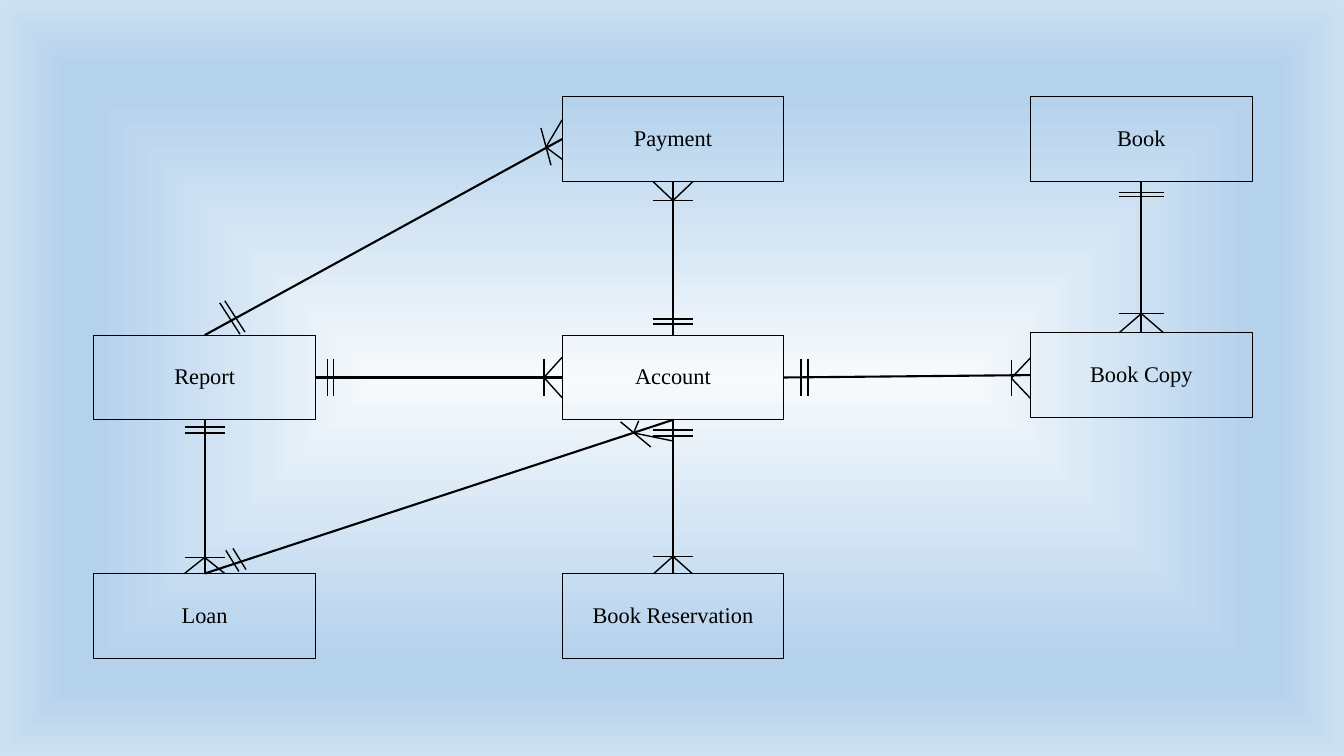
from lxml.etree import SubElement
from pptx import Presentation
from pptx.dml.color import RGBColor
from pptx.enum.shapes import MSO_CONNECTOR, MSO_SHAPE
from pptx.enum.text import MSO_ANCHOR, MSO_AUTO_SIZE, PP_ALIGN
from pptx.oxml.ns import qn
from pptx.util import Inches, Pt

COLORS = {"ink": "000000", "center": "F7FAFD", "ring": "B5D2EC", "rim": "CEE1F2"}
FONT = "Times New Roman"
GRID_LEFT, GRID_TOP = 0.93, 0.96
COLUMN_STEP, ROW_STEP = 4.645, 2.365
BOX_WIDTH, BOX_HEIGHT = 2.2, 0.84

SITES = {"top": 0, "left": 1, "bottom": 2, "right": 3}
OUTWARD = {"top": (0, -1), "left": (-1, 0), "bottom": (0, 1), "right": (1, 0)}

ENTITIES = {
    "Report": (0, 1),
    "Loan": (0, 2),
    "Book Reservation": (1, 2),
    "Account": (1, 1),
    "Book": (2, 0),
    "Payment": (1, 0),
    "Book Copy": (2, 0.99),
}

RELATIONSHIPS = [
    ("Report", "top", "Payment", "left"),
    ("Account", "top", "Payment", "bottom"),
    ("Account", "bottom", "Book Reservation", "top"),
    ("Account", "right", "Book Copy", "left"),
    ("Report", "right", "Account", "left"),
    ("Report", "bottom", "Loan", "top"),
    ("Account", "bottom", "Loan", "top"),
    ("Book Copy", "top", "Book", "bottom"),
]

ONE_ENDS = [
    ("Account", "top", (0.11, 0.16), 0.2),
    ("Account", "bottom", (0.1, 0.16), 0.2),
    ("Account", "right", (0.17, 0.24), 0.18),
    ("Report", "right", (0.12, 0.18), 0.18),
    ("Report", "bottom", (0.07, 0.13), 0.2),
    ("Book", "bottom", (0.11, 0.15), 0.22),
]

MANY_ENDS = [
    ("Account", "left", 0.18, 0.2, 0.18, 0),
    ("Payment", "bottom", 0.19, 0.2, 0.2, 0),
    ("Book Reservation", "top", 0.17, 0.19, 0.2, 0),
    ("Book Copy", "left", 0.19, 0.2, 0.18, 0.03),
    ("Loan", "top", 0.16, 0.2, 0.2, 0),
    ("Book Copy", "top", 0.19, 0.22, 0.22, 0),
]

SLANTED_ENDS = [
    ("Report", "top", [(0.15, -0.32, 0.35, -0.01), (0.2, -0.34, 0.4, -0.03)]),
    ("Loan", "top", [(0.21, -0.23, 0.34, -0.02), (0.28, -0.25, 0.41, -0.04)]),
    ("Payment", "left", [(0, -0.19, -0.16, 0.08), (-0.16, 0.08, 0, 0.2),
                         (-0.21, -0.11, -0.11, 0.26)]),
    ("Account", "bottom", [(-0.34, 0.01, -0.39, 0.13), (-0.39, 0.13, 0, 0.21),
                           (-0.52, 0.02, -0.22, 0.27)]),
]


def color(name):
    return RGBColor.from_string(COLORS[name])


def paint_background(page):
    page.background.fill.gradient()
    gradient = page.element.find(".//" + qn("a:gradFill"))
    for child in list(gradient):
        gradient.remove(child)
    stops = SubElement(gradient, qn("a:gsLst"))
    for percent, name in ((0, "center"), (74, "ring"), (83, "ring"), (100, "rim")):
        stop = SubElement(stops, qn("a:gs"), pos=str(percent * 1000))
        SubElement(stop, qn("a:srgbClr"), val=COLORS[name])
    shade = SubElement(gradient, qn("a:path"), path="rect")
    SubElement(shade, qn("a:fillToRect"), l="50000", t="50000", r="50000", b="50000")


def corner(name):
    column, row = ENTITIES[name]
    return GRID_LEFT + column * COLUMN_STEP, GRID_TOP + row * ROW_STEP


def side_middle(name, side):
    left, top = corner(name)
    across, down = OUTWARD[side]
    return left + BOX_WIDTH * (1 + across) / 2, top + BOX_HEIGHT * (1 + down) / 2


def format_entity(box, name):
    left, top = corner(name)
    box.left, box.top = Inches(left), Inches(top)
    box.width, box.height = Inches(BOX_WIDTH), Inches(BOX_HEIGHT)
    box.fill.background()
    box.line.color.rgb = color("ink")
    box.line.width = Pt(0.75)
    frame = box.text_frame
    frame.word_wrap = True
    frame.auto_size = MSO_AUTO_SIZE.NONE
    frame.vertical_anchor = MSO_ANCHOR.MIDDLE
    para = frame.paragraphs[0]
    para.alignment = PP_ALIGN.CENTER
    para.line_spacing = 0.9
    span = para.add_run()
    span.text = name
    span.font.name = FONT
    span.font.size = Pt(16)
    span.font.color.rgb = color("ink")


def add_entity(page, name):
    box = page.shapes.add_shape(MSO_SHAPE.RECTANGLE, 0, 0, Inches(BOX_WIDTH), Inches(BOX_HEIGHT))
    box.shadow.inherit = False
    format_entity(box, name)
    return box


def add_stroke(page, start, end, width=1):
    ends = [Inches(value) for value in (*start, *end)]
    stroke = page.shapes.add_connector(MSO_CONNECTOR.STRAIGHT, *ends)
    stroke.line.color.rgb = color("ink")
    stroke.line.width = Pt(width)
    SubElement(stroke.element.spPr, qn("a:effectLst"))
    return stroke


def add_relationship(page, boxes, source, source_side, target, target_side):
    link = add_stroke(page, side_middle(source, source_side), side_middle(target, target_side), 1.5)
    link.begin_connect(boxes[source], SITES[source_side])
    link.end_connect(boxes[target], SITES[target_side])


def beside(name, side, out, along):
    x, y = side_middle(name, side)
    across, down = OUTWARD[side]
    return x + out * across + along * abs(down), y + out * down + along * abs(across)


def add_one_end(page, name, side, gaps, half):
    for gap in gaps:
        add_stroke(page, beside(name, side, gap, -half), beside(name, side, gap, half))


def add_many_end(page, name, side, depth, spread, half, shift):
    tip = beside(name, side, depth, shift)
    for sign in (-1, 1):
        add_stroke(page, tip, beside(name, side, 0, shift + sign * spread))
    add_stroke(page, beside(name, side, depth, shift - half), beside(name, side, depth, shift + half))


def add_slanted_end(page, name, side, strokes):
    x, y = side_middle(name, side)
    for x1, y1, x2, y2 in strokes:
        add_stroke(page, (x + x1, y + y1), (x + x2, y + y2))


def main():
    deck = Presentation()
    deck.slide_width, deck.slide_height = Inches(13.33), Inches(7.5)
    page = deck.slides.add_slide(deck.slide_layouts.get_by_name("Title Only"))
    paint_background(page)

    boxes = {"Report": page.shapes.title}
    format_entity(boxes["Report"], "Report")
    for name in ENTITIES:
        if name not in boxes:
            boxes[name] = add_entity(page, name)

    for relationship in RELATIONSHIPS:
        add_relationship(page, boxes, *relationship)
    for end in ONE_ENDS:
        add_one_end(page, *end)
    for end in MANY_ENDS:
        add_many_end(page, *end)
    for end in SLANTED_ENDS:
        add_slanted_end(page, *end)

    deck.save("out.pptx")


if __name__ == "__main__":
    main()
